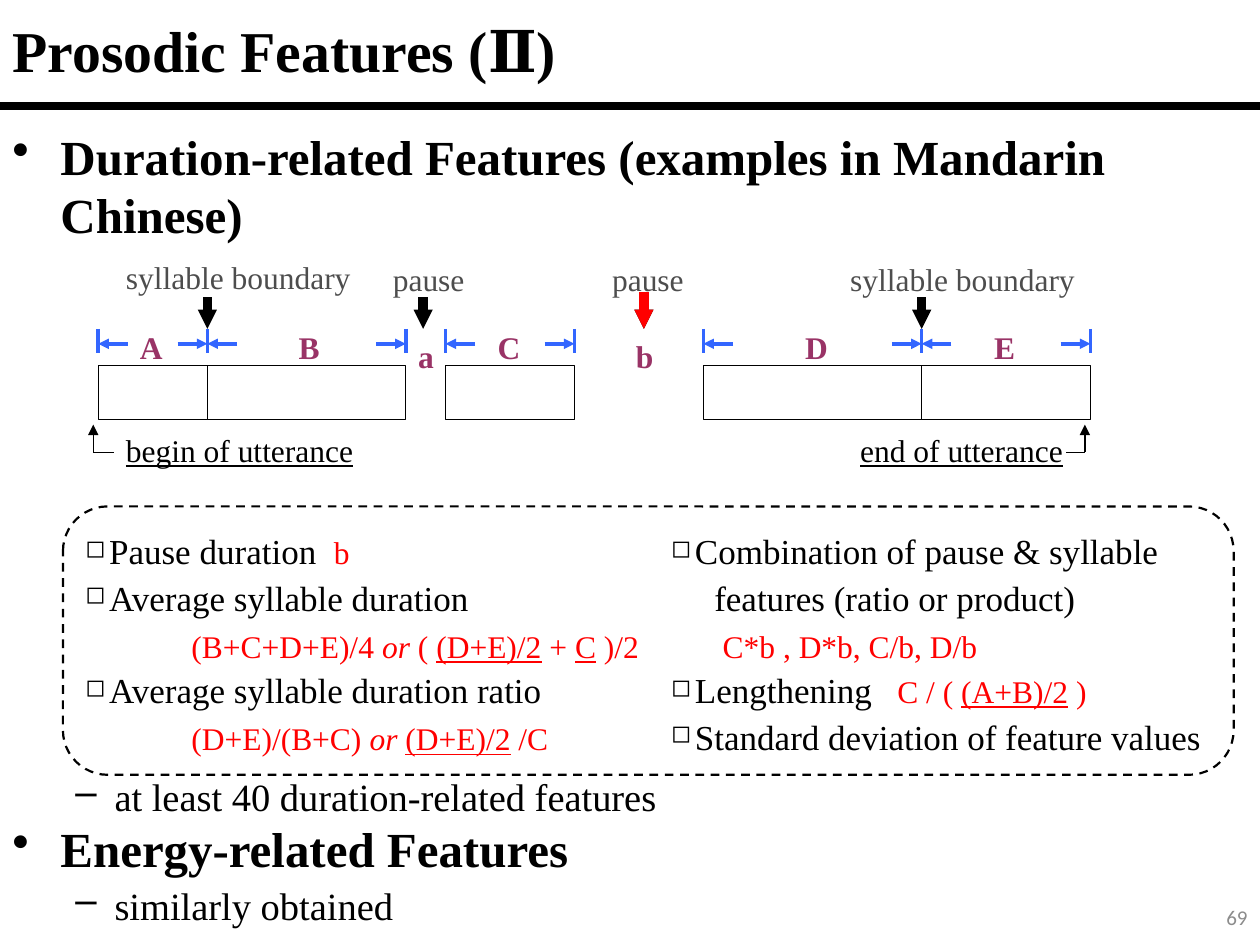
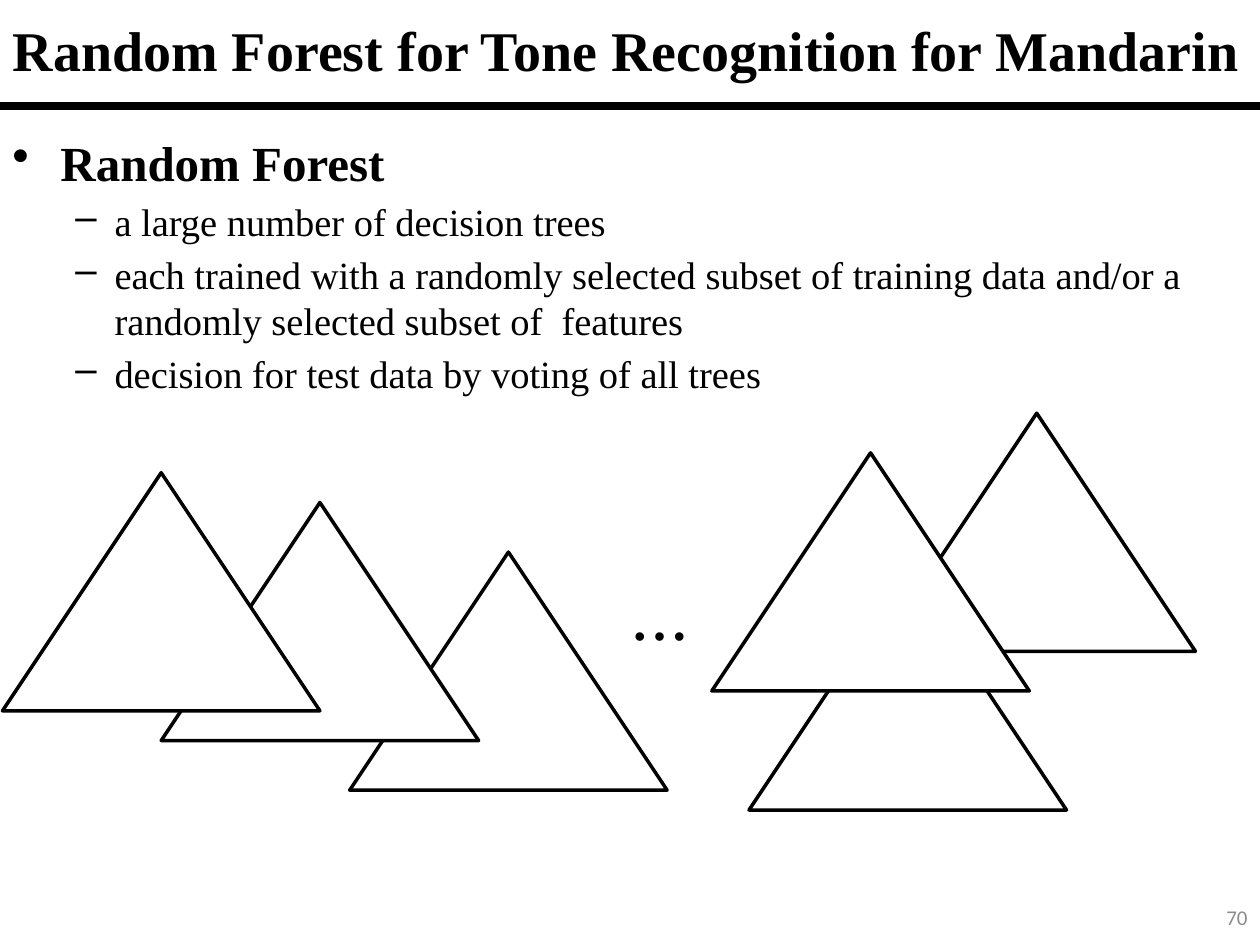
from dataclasses import dataclass

from lxml import etree
from pptx import Presentation
from pptx.dml.color import RGBColor
from pptx.enum import dml, shapes, text
from pptx.oxml.ns import qn
from pptx.util import Cm, Pt


@dataclass(frozen=True)
class Theme:
    serif: str = "Times New Roman"
    sans: str = "Arial"
    number_font: str = "Calibri"
    black: str = "000000"
    white: str = "FFFFFF"
    grey: str = "4D4D4D"
    pale_grey: str = "8C8C8C"
    blue: str = "3366FF"
    plum: str = "993366"
    red: str = "FF0000"
    heading: int = 28
    point: int = 22
    feature: int = 20
    label: int = 18
    number: int = 12


@dataclass(frozen=True)
class Box:
    """A region in centimetres."""
    left: float
    top: float
    width: float
    height: float

    def inner(self, x, y, width, height):
        return Box(self.left + x, self.top + y, width, height)

    def lengths(self):
        return [Cm(v) for v in (self.left, self.top, self.width, self.height)]


THEME = Theme()
SLIDE = Box(0, 0, 25.4, 19.05)


def style(font, size, color, bold=None, name=THEME.serif):
    font.name, font.size, font.bold = name, Pt(size), bold
    font.color.rgb = RGBColor.from_string(color)


def add_frame(page, box, margins=(0.25, 0.13)):
    frame = page.shapes.add_textbox(*box.lengths()).text_frame
    frame.word_wrap = True
    frame.margin_left = frame.margin_right = Cm(margins[0])
    frame.margin_top = frame.margin_bottom = Cm(margins[1])
    return frame


def add_label(page, box, words, color=THEME.black, bold=None, size=THEME.label,
              name=THEME.serif, align=text.PP_ALIGN.LEFT):
    para = add_frame(page, box).paragraphs[0]
    para.text, para.alignment = words, align
    style(para.font, size, color, bold, name)
    return para


def next_para(frame):
    first = frame.paragraphs[0]
    return frame.add_paragraph() if first.runs else first


def set_indent(para, left, hanging=0.0, bullet=None, percent=100, tab=None):
    props = para._p.get_or_add_pPr()
    props.set("marL", str(Cm(left)))
    props.set("indent", str(-Cm(hanging)))
    if bullet:
        etree.SubElement(props, qn("a:buSzPct"), val=str(percent * 1000))
        etree.SubElement(props, qn("a:buChar"), char=bullet)
    if tab:
        tabs = etree.SubElement(props, qn("a:tabLst"))
        etree.SubElement(tabs, qn("a:tab"), pos=str(Cm(tab)), algn="l")


def add_line(page, box, start, end, color, width, head=None):
    """Draw from start to end; head is the arrowhead size, 'sm' or 'med'."""
    (x1, y1), (x2, y2) = start, end
    line = page.shapes.add_connector(
        shapes.MSO_CONNECTOR.STRAIGHT, Cm(box.left + x1), Cm(box.top + y1),
        Cm(box.left + x2), Cm(box.top + y2))
    line.line.color.rgb = RGBColor.from_string(color)
    line.line.width = Pt(width)
    props = line._element.spPr
    if head:
        etree.SubElement(props.find(qn("a:ln")), qn("a:tailEnd"),
                         type="triangle", w=head, len=head)
    etree.SubElement(props, qn("a:effectLst"))


def add_outline(page, kind, box, width, filled=True):
    shape = page.shapes.add_shape(kind, *box.lengths())
    shape.shadow.inherit = False
    if filled:
        shape.fill.solid()
        shape.fill.fore_color.rgb = RGBColor.from_string(THEME.white)
    else:
        shape.fill.background()
    shape.line.color.rgb = RGBColor.from_string(THEME.black)
    shape.line.width = Pt(width)
    return shape


def add_page(deck, title, title_size, number):
    page = deck.slides.add_slide(deck.slide_layouts[5])
    holder = page.shapes.title
    holder.left, holder.top, holder.width, holder.height = Box(0, 0, 25.4, 2).lengths()
    frame = holder.text_frame
    frame.auto_size = text.MSO_AUTO_SIZE.NONE
    frame.vertical_anchor = text.MSO_ANCHOR.MIDDLE
    para = frame.paragraphs[0]
    para.text, para.alignment = title, text.PP_ALIGN.LEFT
    style(para.font, title_size, THEME.black, True)
    add_line(page, SLIDE, (0, 2.13), (SLIDE.width, 2.13), THEME.black, 4.5)
    add_label(page, SLIDE.inner(19.69, 18.1, 5.71, 0.9), str(number), THEME.pale_grey,
              size=THEME.number, name=THEME.number_font, align=text.PP_ALIGN.RIGHT)
    return page


def add_outline_text(page, box, items):
    """Write (level, words, space before) items as headings and points."""
    frame = add_frame(page, box, (0.25, 0))
    for level, words, space in items:
        para = next_para(frame)
        if level == 0:
            size, indent = THEME.heading, (0.97, 0.97, "•")
        else:
            size, indent = THEME.point, (2.06, 0.79, "–")
        set_indent(para, *indent)
        para.text = words
        para.line_spacing = Pt(round(size * 1.19))
        para.space_before = Pt(space)
        style(para.font, size, THEME.black, level == 0)


def add_utterance(page, box):
    syllables = {"A": (0, 2.2, 0.59), "B": (2.2, 6.2, 3.79), "C": (7, 9.6, 7.8),
                 "D": (12.2, 16.6, 14), "E": (16.6, 20, 17.81)}
    markers = [("syllable boundary", 0.31, 0, 6.2, 2.2), ("pause", 5.69, 0.03, 2.21, 6.55),
               ("pause", 10.11, 0.03, 2.21, 11), ("syllable boundary", 14.91, 0.03, 6.2, 16.6)]
    for words, x, y, width, arrow_x in markers:
        add_label(page, box.inner(x, y, width, 1.02), words, THEME.grey)
        add_line(page, box, (arrow_x, 0.91), (arrow_x, 1.55), THEME.black, 5.5, "sm")
    add_line(page, box, (11, 0.81), (11, 1.55), THEME.red, 5.5, "sm")

    edges = {x for start, end, _ in syllables.values() for x in (start, end)}
    for x in sorted(edges):
        add_line(page, box, (x, 1.55), (x, 2.03), THEME.blue, 2)
    for name, (start, end, letter_x) in syllables.items():
        for tip, origin in ((start, start + 0.6), (end, end - 0.6)):
            add_line(page, box, (origin, 1.85), (tip, 1.85), THEME.blue, 2, "med")
        add_outline(page, shapes.MSO_SHAPE.RECTANGLE,
                    box.inner(start, 2.29, end - start, 1.09), 0.75)
        add_label(page, box.inner(letter_x, 1.4, 1.4, 1.02), name, THEME.plum, True)
    for name, x in (("a", 6.2), ("b", 10.59)):
        add_label(page, box.inner(x, 1.58, 1.6, 1.02), name, THEME.plum, True)

    captions = [("begin of utterance", 0.31, -0.1, 0.31), ("end of utterance", 15.11, 19.89, 19.51)]
    for words, x, corner, stub in captions:
        add_label(page, box.inner(x, 3.48, 6.6, 1.02), words).font.underline = True
        add_line(page, box, (corner, 4.04), (corner, 3.48), THEME.black, 0.75, "med")
        add_line(page, box, (corner, 4.04), (stub, 4.04), THEME.black, 0.75)


def add_features(page, box, rows):
    """Write (kind, indent or tab, plain words, formula spans) rows."""
    frame = add_frame(page, box)
    for kind, offset, words, formula in rows:
        para = next_para(frame)
        if kind == "feature":
            set_indent(para, 0.48, 0.48, "◻", 70, offset)
        else:
            set_indent(para, offset)
        para.line_spacing = Pt(26.5)
        style(para.font, THEME.feature, THEME.black)
        if words:
            para.add_run().text = words
        for piece, look in formula:
            span = para.add_run()
            span.text = piece
            style(span.font, THEME.label, THEME.red)
            span.font.italic = look == "italic"
            span.font.underline = look == "underline"


def add_feature_panel(page, box):
    left_rows = [
        ("feature", 5.01, "Pause duration\t", [("b", "")]),
        ("feature", None, "Average syllable duration", []),
        ("formula", 2.14, "", [("(B+C+D+E)/4 ", ""), ("or", "italic"), (" ( ", ""),
                               ("(D+E)/2", "underline"), (" + ", ""), ("C", "underline"),
                               (" )/2", "")]),
        ("feature", None, "Average syllable duration ratio", []),
        ("formula", 2.14, "", [("(D+E)/(B+C) ", ""), ("or ", "italic"),
                               ("(D+E)/2", "underline"), (" /C", "")]),
    ]
    right_rows = [
        ("feature", None, "Combination of pause & syllable", []),
        ("formula", 0.87, "features (ratio or product)", []),
        ("formula", 1.04, "", [("C*b , D*b, C/b, D/b", "")]),
        ("feature", 4.56, "Lengthening\t", [("C / ( ", ""), ("(A+B)/2", "underline"), (" )", "")]),
        ("feature", None, "Standard deviation of feature values", []),
    ]
    add_features(page, box.inner(0.2, 0.25, 12.6, 5), left_rows)
    add_features(page, box.inner(12.01, 0.25, 12, 5), right_rows)
    border = add_outline(page, shapes.MSO_SHAPE.ROUNDED_RECTANGLE, box, 1.25, filled=False)
    border.line.dash_style = dml.MSO_LINE.DASH


def add_forest(page, box):
    trees = [(7, 2.8), (3.2, 1.8), (0, 1.2), (15.05, 3.2), (17.65, 0), (14.3, 0.8)]
    for x, y in trees:
        add_outline(page, shapes.MSO_SHAPE.ISOSCELES_TRIANGLE, box.inner(x, y, 6.4, 4.8), 2)
    add_label(page, box.inner(12.45, 3.96, 1.6, 1.02), "• • •", name=THEME.sans,
              align=text.PP_ALIGN.CENTER)


def build_prosody(deck):
    page = add_page(deck, "Prosodic Features (Ⅱ)", 33, 69)
    add_outline_text(page, SLIDE.inner(0, 2.57, 25.4, 2.4), [
        (0, "Duration-related Features (examples in Mandarin Chinese)", 0)])
    add_utterance(page, Box(1.98, 5.08, 20, 4.5))
    add_feature_panel(page, Box(1.27, 10.21, 23.6, 5.41))
    add_outline_text(page, SLIDE.inner(0, 15.6, 25.4, 3.2), [
        (1, "at least 40 duration-related features", 0),
        (0, "Energy-related Features", 0),
        (1, "similarly obtained", 3)])


def build_forest(deck):
    page = add_page(deck, "Random Forest for Tone Recognition for Mandarin", 32, 70)
    add_outline_text(page, SLIDE.inner(0, 2.69, 25.4, 5.6), [
        (0, "Random Forest", 0),
        (1, "a large number of decision trees", 4.4),
        (1, "each trained with a randomly selected subset of training data and/or a "
            "randomly selected subset of  features", 4.4),
        (1, "decision for test data by voting of all trees", 4.4)])
    add_forest(page, Box(0.05, 8.33, 24.1, 8))


def main():
    deck = Presentation()
    deck.slide_width, deck.slide_height = Cm(SLIDE.width), Cm(SLIDE.height)
    build_prosody(deck)
    build_forest(deck)
    deck.save("out.pptx")


if __name__ == "__main__":
    main()
